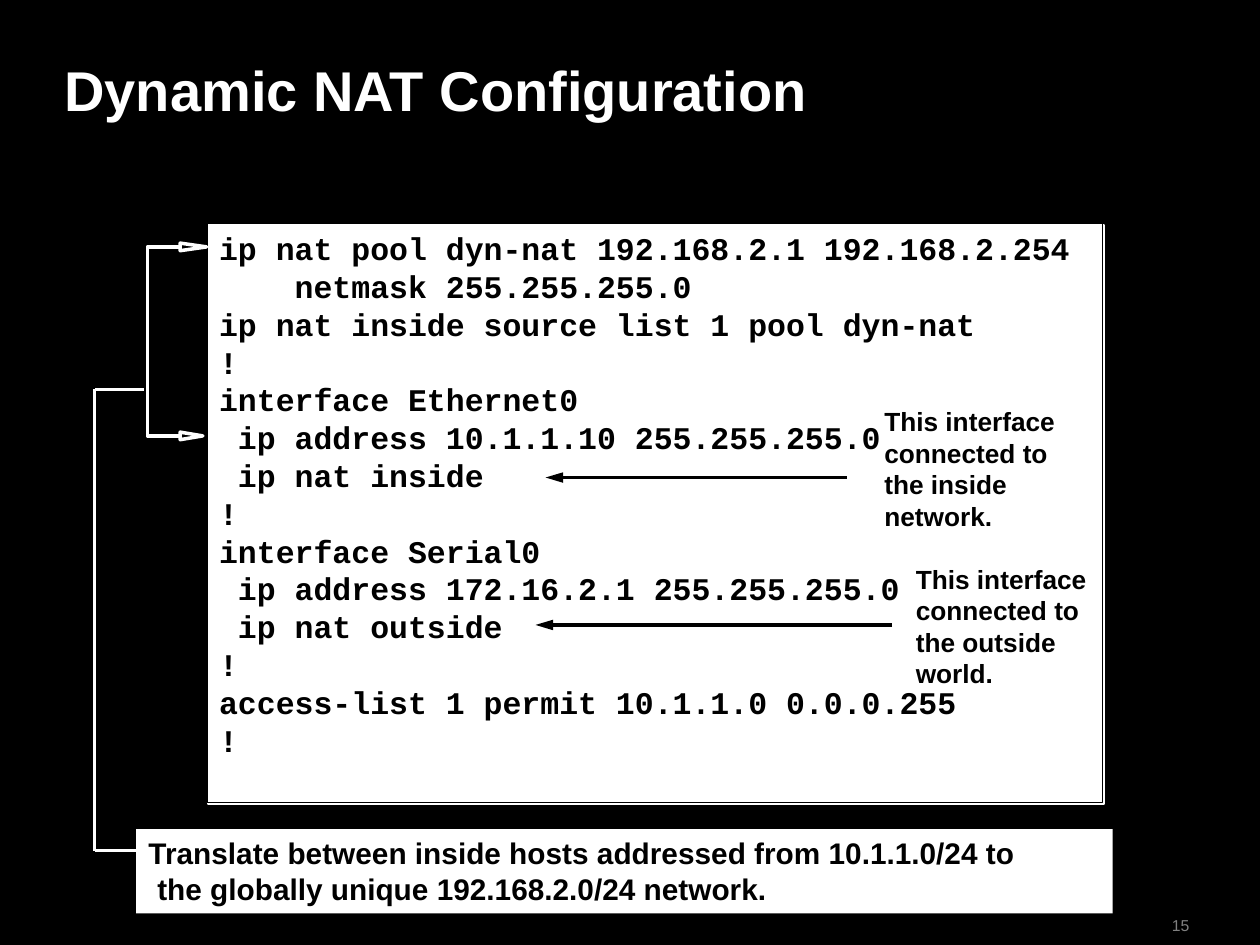
from lxml.etree import SubElement
from pptx import Presentation
from pptx.dml.color import RGBColor
from pptx.enum.shapes import MSO_CONNECTOR, MSO_SHAPE
from pptx.enum.text import MSO_ANCHOR, PP_ALIGN
from pptx.oxml.ns import qn
from pptx.util import Inches, Pt

BLACK, WHITE, GREY = "000000", "FFFFFF", "808080"

TITLE = "Dynamic NAT Configuration"
CODE = [
    "ip nat pool dyn-nat 192.168.2.1 192.168.2.254\n    netmask 255.255.255.0",
    "ip nat inside source list 1 pool dyn-nat",
    "!",
    "interface Ethernet0",
    " ip address 10.1.1.10 255.255.255.0",
    " ip nat inside",
    "!",
    "interface Serial0",
    " ip address 172.16.2.1 255.255.255.0",
    " ip nat outside",
    "!",
    "access-list 1 permit 10.1.1.0 0.0.0.255",
    "!",
]
SUMMARY = ("Translate between inside hosts addressed from 10.1.1.0/24 to\n"
           "the globally unique 192.168.2.0/24 network.")
NOTES = [
    ("This interface connected to the outside world.", 7.17, 4.42),
    ("This interface connected to the inside network.", 6.92, 3.17),
]
NOTE_ARROWS = [(6.72, 4.33, 3.79), (7.08, 4.25, 4.96)]

CODE_BOX = (1.64, 1.77, 7.11, 4.6)
SUMMARY_BOX = (1.08, 6.58, 7.75, 0.67)
BRACKET_X, HEAD_X, STEM_X = 1.17, 1.43, 0.75
BRACKET_TOP, BRACKET_BOTTOM = 1.96, 3.46
STEM_TOP, STEM_BOTTOM = 3.09, 6.75
BRACKET_TIPS = [(1.61, BRACKET_BOTTOM), (1.64, BRACKET_TOP)]


def color(value):
    return RGBColor.from_string(value)


def fill(target, value):
    target.fill.solid()
    target.fill.fore_color.rgb = color(value)


def outline(shape, value, width=2):
    shape.line.color.rgb = color(value)
    shape.line.width = Pt(width)


def write(shape, lines, size, value=BLACK, font="Arial", bold=True,
          side=0.1, edge=0.05, anchor=MSO_ANCHOR.TOP, wrap=True):
    frame = shape.text_frame
    frame.word_wrap = wrap
    frame.vertical_anchor = anchor
    frame.margin_left = frame.margin_right = Inches(side)
    frame.margin_top = frame.margin_bottom = Inches(edge)
    for index, line in enumerate(lines):
        paragraph = frame.add_paragraph() if index else frame.paragraphs[0]
        paragraph.text = line
        paragraph.alignment = PP_ALIGN.LEFT
        paragraph.font.name = font
        paragraph.font.size = Pt(size)
        paragraph.font.bold = bold
        paragraph.font.color.rgb = color(value)


def add_panel(shapes, box):
    panel = shapes.add_shape(MSO_SHAPE.RECTANGLE, *map(Inches, box))
    panel.shadow.inherit = False
    fill(panel, WHITE)
    panel.line.fill.background()
    return panel


def add_text(shapes, box, lines, size, **style):
    write(shapes.add_textbox(*map(Inches, box)), lines, size, **style)


def add_line(shapes, start, end, value):
    line = shapes.add_connector(MSO_CONNECTOR.STRAIGHT, *map(Inches, start + end))
    outline(line, value)
    SubElement(line._element.spPr, qn("a:effectLst"))
    return line


def add_outline(shapes, points, closed):
    first, *rest = [(Inches(x), Inches(y)) for x, y in points]
    builder = shapes.build_freeform(*first)
    builder.add_line_segments(rest, close=closed)
    shape = builder.convert_to_shape()
    shape.shadow.inherit = False
    outline(shape, WHITE)
    if closed:
        fill(shape, BLACK)
    else:
        shape.fill.background()


def add_hard_shadow(shape, value):
    effects = shape._element.spPr.find(qn("a:effectLst"))
    shadow = SubElement(effects, qn("a:outerShdw"), dist=str(Pt(1.4)),
                        dir=str(45 * 60000), algn="ctr", rotWithShape="0")
    SubElement(shadow, qn("a:srgbClr"), val=value)


def main():
    presentation = Presentation()
    presentation.slide_width, presentation.slide_height = Inches(10), Inches(7.5)
    slide = presentation.slides.add_slide(presentation.slide_layouts[5])
    fill(slide.background, BLACK)
    shapes = slide.shapes

    title = shapes.title
    title.left, title.top, title.width, title.height = map(
        Inches, (0.42, 0.28, 8.34, 0.92))
    write(title, [TITLE], 32, WHITE, side=0.09, anchor=MSO_ANCHOR.MIDDLE)
    title.text_frame.paragraphs[0].line_spacing = 0.9

    code = add_panel(shapes, CODE_BOX)
    outline(code, BLACK, 1)
    add_hard_shadow(code, WHITE)
    write(code, CODE, 18, font="Courier New")

    for tip, y in BRACKET_TIPS:
        add_outline(shapes, [(HEAD_X, y - 0.03), (tip, y), (HEAD_X, y + 0.03)], True)
    add_outline(shapes, [(HEAD_X, BRACKET_BOTTOM), (BRACKET_X, BRACKET_BOTTOM),
                         (BRACKET_X, BRACKET_TOP), (HEAD_X, BRACKET_TOP)], False)

    summary = add_panel(shapes, SUMMARY_BOX)
    write(summary, [SUMMARY], 17)
    properties = summary.text_frame.paragraphs[0]._p.get_or_add_pPr()
    properties.set("marL", str(Inches(0.07)))
    properties.set("indent", str(-Inches(0.07)))

    corners = [(1.14, STEM_TOP), (STEM_X, STEM_TOP),
               (STEM_X, STEM_BOTTOM), (SUMMARY_BOX[0], STEM_BOTTOM)]
    for start, end in zip(corners, corners[1:]):
        add_line(shapes, start, end, WHITE)

    for start, tip, y in NOTE_ARROWS:
        arrow = add_line(shapes, (start, y), (tip, y), BLACK)
        SubElement(arrow.line._get_or_add_ln(), qn("a:tailEnd"),
                   type="triangle", w="med", len="lg")
    for text, left, top in NOTES:
        add_text(shapes, (left, top, 1.58, 1.1), [text], 15)

    add_text(shapes, (9.21, 7.22, 0.75, 0.24), ["15"], 9, value=GREY, bold=False,
             side=0.09, edge=0.04, anchor=MSO_ANCHOR.BOTTOM, wrap=False)
    presentation.save("out.pptx")


if __name__ == "__main__":
    main()
